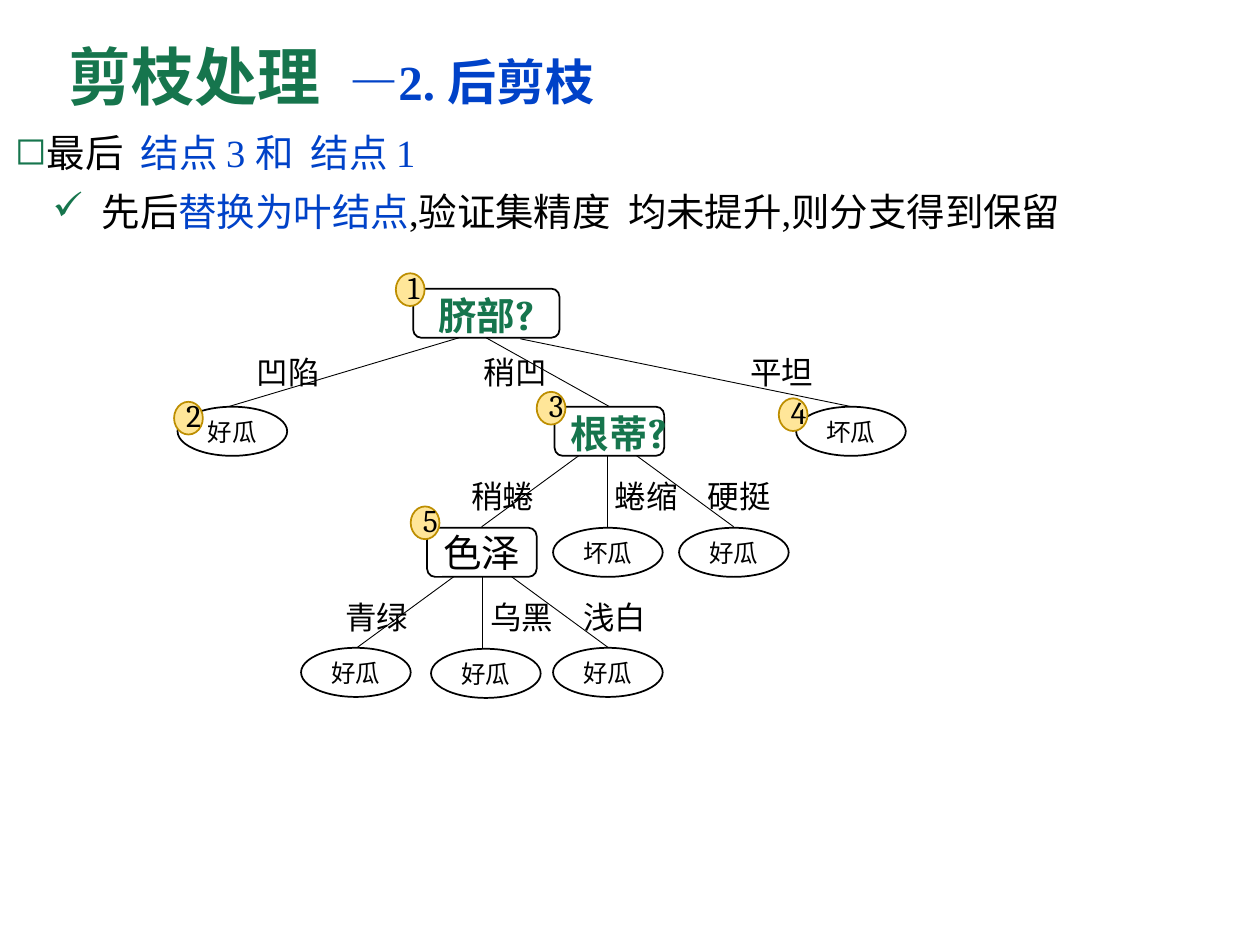
from dataclasses import dataclass

from lxml.etree import SubElement
from pptx import Presentation
from pptx.dml.color import RGBColor
from pptx.enum.shapes import MSO_CONNECTOR, MSO_SHAPE
from pptx.enum.text import MSO_ANCHOR as Anchor, PP_ALIGN as Align
from pptx.oxml.ns import qn
from pptx.util import Cm, Pt

BLACK = RGBColor(0x00, 0x00, 0x00)
WHITE = RGBColor(0xFF, 0xFF, 0xFF)
GREEN = RGBColor(0x16, 0x75, 0x4D)
BLUE = RGBColor(0x00, 0x42, 0xC8)
YELLOW = RGBColor(0xFF, 0xE6, 0x99)
GOLD = RGBColor(0xBD, 0x8E, 0x00)
SERIF, HEADING, CHINESE = "Times New Roman", "Cambria", "Noto Sans CJK SC"
BOX, OVAL = MSO_SHAPE.ROUNDED_RECTANGLE, MSO_SHAPE.OVAL
NODE_WIDTH, NODE_HEIGHT = 2.21, 0.99


@dataclass(frozen=True)
class Node:
    """A tree node: a tested attribute (box) or a leaf (oval), in cm."""
    text: str
    left: float
    top: float
    kind: MSO_SHAPE = OVAL
    width: float = NODE_WIDTH
    question: bool = False


@dataclass(frozen=True)
class Mark:
    """A short text at a place in cm."""
    text: str
    left: float
    top: float


@dataclass(frozen=True)
class Branch:
    """A line from a parent to a child, in cm."""
    start: tuple[float, float]
    end: tuple[float, float]


ROOT_TOP, SECOND_TOP, THIRD_TOP, LEAF_TOP = 5.82, 8.2, 10.64, 13.06
NODES = [
    Node("脐部", 8.33, ROOT_TOP, BOX, 2.95, True),
    Node("好瓜", 3.58, SECOND_TOP),
    Node("根蒂", 11.18, SECOND_TOP, BOX, question=True),
    Node("坏瓜", 16.05, SECOND_TOP),
    Node("色泽", 8.61, THIRD_TOP, BOX),
    Node("坏瓜", 11.15, THIRD_TOP),
    Node("好瓜", 13.69, THIRD_TOP),
    Node("好瓜", 6.07, LEAF_TOP),
    Node("好瓜", 8.69, LEAF_TOP + 0.02),
    Node("好瓜", 11.15, LEAF_TOP),
]
LABEL_ROWS = {
    6.99: [("凹陷", 4.93), ("稍凹", 9.5), ("平坦", 14.88)],
    9.5: [("稍蜷", 9.25), ("蜷缩", 12.14), ("硬挺", 14.02)],
    11.94: [("青绿", 6.71), ("乌黑", 9.63), ("浅白", 11.51)],
}
LABELS = [Mark(text, left, top)
          for top, row in LABEL_ROWS.items() for text, left in row]
BADGES = [Mark("1", 7.98, 5.51), Mark("2", 3.51, 8.1), Mark("3", 10.82, 7.9),
          Mark("4", 15.7, 8.03), Mark("5", 8.28, 10.21)]
BRANCHES = [
    Branch((9.25, 6.81), (4.6, SECOND_TOP)),
    Branch((9.8, 6.81), (12.29, SECOND_TOP)),
    Branch((10.49, 6.83), (17.17, SECOND_TOP)),
] + [
    Branch((center, top), (center + step * 2.54, bottom))
    for center, top, bottom in [(12.25, 8.76, 10.62), (9.73, 11.2, LEAF_TOP)]
    for step in (-1, 0, 1)
]


def add_run(paragraph, text: str, *, size: float, font: str = SERIF,
            color: RGBColor = BLACK, bold: bool = False) -> None:
    """Append formatted text to a paragraph."""
    run = paragraph.add_run()
    run.text = text
    run.font.size, run.font.name, run.font.bold = Pt(size), font, bold
    run.font.color.rgb = color
    SubElement(run.font._element, qn("a:ea"), typeface=CHINESE)


def add_text_box(slide, left: float, top: float, width: float, height: float,
                 *, wrap: bool = True, anchor: Anchor = Anchor.TOP):
    """Add an empty text box and return its text frame."""
    frame = slide.shapes.add_textbox(
        Cm(left), Cm(top), Cm(width), Cm(height)).text_frame
    frame.word_wrap, frame.vertical_anchor = wrap, anchor
    return frame


def add_outlined(slide, kind: MSO_SHAPE, left: float, top: float, width: float,
                 height: float, *, fill: RGBColor, line: RGBColor):
    """Add a filled shape with centred text and return its text frame."""
    shape = slide.shapes.add_shape(
        kind, Cm(left), Cm(top), Cm(width), Cm(height))
    shape.shadow.inherit = False
    shape.fill.solid()
    shape.fill.fore_color.rgb = fill
    shape.line.color.rgb, shape.line.width = line, Pt(1)
    frame = shape.text_frame
    frame.word_wrap, frame.vertical_anchor = True, Anchor.MIDDLE
    frame.paragraphs[0].alignment = Align.CENTER
    return frame


def add_branch(slide, branch: Branch) -> None:
    """Draw a thin straight line."""
    line = slide.shapes.add_connector(
        MSO_CONNECTOR.STRAIGHT, *map(Cm, branch.start + branch.end))
    line.line.color.rgb, line.line.width = BLACK, Pt(0.5)
    SubElement(line._element.spPr, qn("a:effectLst"))


def add_node(slide, node: Node) -> None:
    """Draw a tree node with its text."""
    frame = add_outlined(slide, node.kind, node.left, node.top, node.width,
                         NODE_HEIGHT, fill=WHITE, line=BLACK)
    paragraph = frame.paragraphs[0]
    if node.kind == OVAL:
        add_run(paragraph, node.text, size=14)
        return
    style = dict(font=HEADING, bold=node.question,
                 color=GREEN if node.question else BLACK)
    add_run(paragraph, node.text, size=22, **style)
    if node.question:
        add_run(paragraph, "?", size=24, **style)


def add_label(slide, label: Mark) -> None:
    """Write the attribute value of a branch."""
    frame = add_text_box(slide, label.left, label.top, 1.8, 1.02, wrap=False)
    add_run(frame.paragraphs[0], label.text, size=18, font=CHINESE)


def add_badge(slide, badge: Mark) -> None:
    """Draw the yellow number of a node."""
    frame = add_outlined(slide, OVAL, badge.left, badge.top, 0.58, 0.66,
                         fill=YELLOW, line=GOLD)
    frame.margin_top = 0
    add_run(frame.paragraphs[0], badge.text, size=18, font=HEADING)


def add_bullet(paragraph, character: str, indent: float,
               runs: list[tuple[str, RGBColor]]) -> None:
    """Fill a paragraph and give it a green bullet."""
    paragraph.line_spacing, paragraph.space_before = 0.9, Pt(10)
    properties = paragraph._p.get_or_add_pPr()
    properties.set("marL", str(Cm(indent)))
    properties.set("indent", str(Cm(-0.99)))
    color = SubElement(properties, qn("a:buClr"))
    SubElement(color, qn("a:srgbClr"), val=str(GREEN))
    SubElement(properties, qn("a:buChar"), char=character)
    for text, run_color in runs:
        add_run(paragraph, text, size=22, color=run_color)


def main() -> None:
    """Build the slide and save it."""
    presentation = Presentation()
    presentation.slide_width, presentation.slide_height = Cm(25.4), Cm(19.05)
    slide = presentation.slides.add_slide(presentation.slide_layouts[6])
    for draw, items in [(add_branch, BRANCHES), (add_node, NODES),
                        (add_label, LABELS), (add_badge, BADGES)]:
        for item in items:
            draw(slide, item)

    title = add_text_box(slide, 1.14, 0.53, 21.89, 2.16,
                         anchor=Anchor.MIDDLE).paragraphs[0]
    title.line_spacing = 0.9
    add_run(title, "剪枝处理  ", size=36, color=GREEN, bold=True)
    add_run(title, "—2. 后剪枝", size=28, color=BLUE, bold=True)

    body = add_text_box(slide, 0.05, 2.59, 25.1, 4.32)
    add_bullet(body.paragraphs[0], "◻", 0.64,
               [("最后  ", BLACK), ("结点 3 和  结点 1 ", BLUE)])
    add_bullet(body.add_paragraph(), "✓", 1.75,
               [("先后", BLACK), ("替换为叶结点", BLUE),
                (",验证集精度  均未提升,则分支得到保留".replace(",", ","), BLACK)])
    presentation.save("out.pptx")


main()
